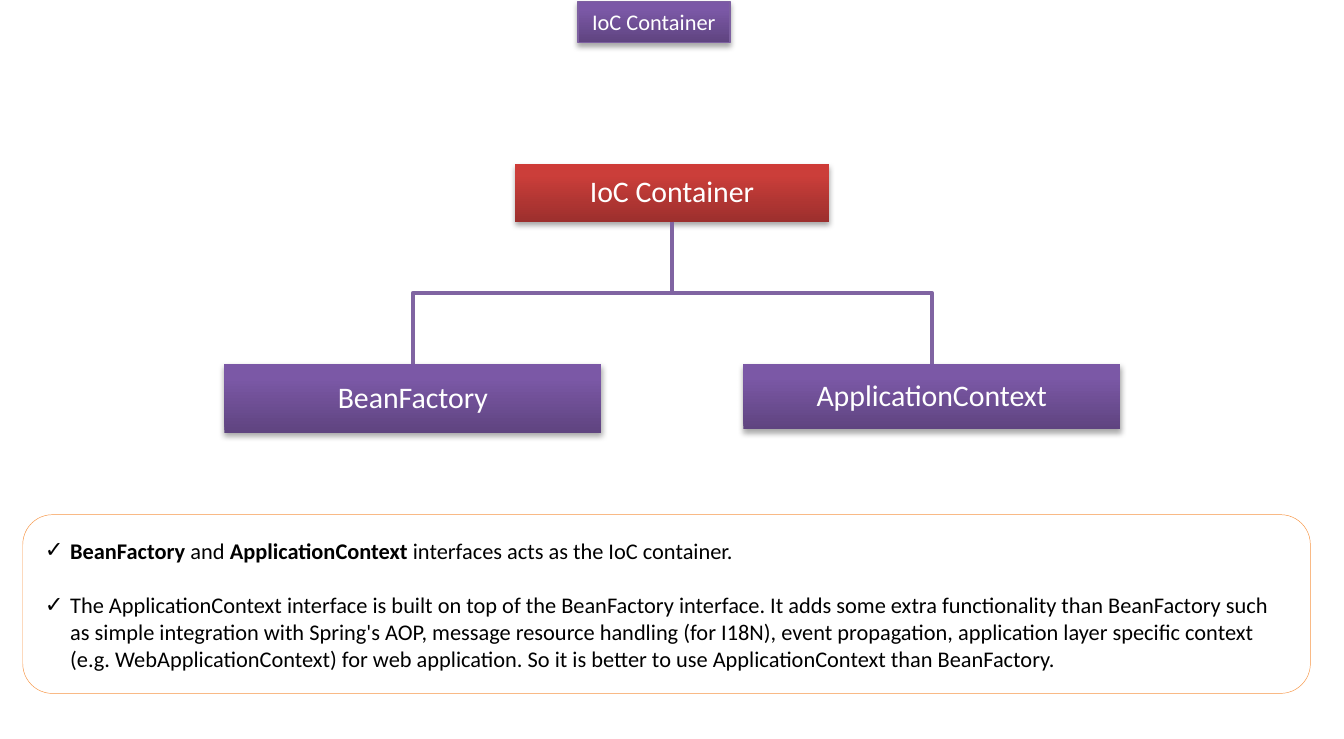
import copy

import pptx
import pptx.dml.color
import pptx.enum.shapes
import pptx.enum.text
import pptx.oxml
import pptx.oxml.ns
import pptx.util

Pt = pptx.util.Pt
ALIGN = pptx.enum.text.PP_ALIGN
ANCHOR = pptx.enum.text.MSO_ANCHOR
SIZING = pptx.enum.text.MSO_AUTO_SIZE
SHAPE = pptx.enum.shapes.MSO_SHAPE

PURPLE = ("5F4480", "7B58A6", "7C57A8")
RED = ("9C2F2D", "CB3E3A", "CE3B37")
STOPS = (0, 0.8, 1)


def color(value):
    return pptx.dml.color.RGBColor.from_string(value)


def element(xml):
    """Parse one drawing element written without its namespace declaration."""
    head, tail = xml.split(" ", 1)
    return pptx.oxml.parse_xml(f"{head} {pptx.oxml.ns.nsdecls('a')} {tail}")


class SlideWriter:
    font = "Calibri"
    connector = "8064A2"

    def __init__(self, page):
        self.page = page

    def place(self, box, left, top, width, height):
        box.left, box.top, box.width, box.height = map(Pt, (left, top, width, height))

    def style(self, paragraph, size, value):
        for span in paragraph.runs:
            span.font.name = self.font
            span.font.size = Pt(size)
            span.font.color.rgb = color(value)

    def shade(self, box, colors):
        """Vertical three-stop gradient, dark at the bottom, with a soft shadow."""
        box.fill.gradient()
        box.fill.gradient_angle = 90
        stop_list = box._element.spPr.find(".//" + pptx.oxml.ns.qn("a:gsLst"))
        stop_list.append(copy.deepcopy(stop_list[-1]))
        for stop, value, position in zip(box.fill.gradient_stops, colors, STOPS):
            stop.color.rgb = color(value)
            stop.position = position
        box.shadow.inherit = False
        effects = box._element.spPr.find(pptx.oxml.ns.qn("a:effectLst"))
        effects.append(element(
            f'<a:outerShdw blurRad="{Pt(3.1)}" dist="{Pt(1.8)}" dir="5400000" rotWithShape="0">'
            '<a:srgbClr val="000000"><a:alpha val="35000"/></a:srgbClr></a:outerShdw>'))

    def title(self, text, *area):
        box = self.page.shapes.title
        self.place(box, *area)
        box.line.color.rgb = color("7D60A0")
        box.line.width = Pt(0.75)
        self.shade(box, PURPLE)
        frame = box.text_frame
        frame.text = text
        frame.word_wrap = True
        frame.auto_size = SIZING.NONE
        frame.margin_left = frame.margin_right = Pt(2)
        frame.vertical_anchor = ANCHOR.TOP
        frame.paragraphs[0].alignment = ALIGN.CENTER
        self.style(frame.paragraphs[0], 12, "FFFFFF")

    def node(self, text, colors, *area):
        box = self.page.shapes.add_shape(SHAPE.RECTANGLE, *map(Pt, area))
        box.line.fill.background()
        self.shade(box, colors)
        frame = box.text_frame
        frame.text = text
        frame.word_wrap = True
        frame.vertical_anchor = ANCHOR.MIDDLE
        frame.margin_left = frame.margin_right = Pt(0.8)
        frame.margin_top = frame.margin_bottom = Pt(0.8)
        frame.paragraphs[0].alignment = ALIGN.CENTER
        frame.paragraphs[0].line_spacing = 0.9
        self.style(frame.paragraphs[0], 16, "FFFFFF")
        return box

    def branch(self, parent, child):
        """Elbow line from the parent's bottom to the child's top."""
        start_x = parent.left + parent.width // 2
        start_y = parent.top + parent.height
        end_x = child.left + child.width // 2
        middle = (start_y + child.top) // 2
        builder = self.page.shapes.build_freeform(start_x, start_y)
        builder.add_line_segments(
            [(start_x, middle), (end_x, middle), (end_x, child.top)], close=False)
        line = builder.convert_to_shape()
        line.fill.background()
        line.line.color.rgb = color(self.connector)
        line.line.width = Pt(2)
        line.shadow.inherit = False

    def panel(self, *area):
        box = self.page.shapes.add_shape(SHAPE.ROUNDED_RECTANGLE, *map(Pt, area))
        box.fill.solid()
        box.fill.fore_color.rgb = color("FFFFFF")
        box.line.color.rgb = color("F79646")
        box.line.width = Pt(0.25)
        box.shadow.inherit = False
        return box

    def checklist(self, panel, items, *area):
        """Fill the body placeholder and bring it in front of its panel."""
        box = self.page.placeholders[1]
        self.place(box, *area)
        panel._element.addnext(box._element)
        frame = box.text_frame
        frame.word_wrap = True
        frame.auto_size = SIZING.NONE
        frame.vertical_anchor = ANCHOR.MIDDLE
        for index, spans in enumerate(items):
            paragraph = frame.add_paragraph() if index else frame.paragraphs[0]
            properties = paragraph._p.get_or_add_pPr()
            properties.set("marL", str(Pt(13.5)))
            properties.set("indent", str(-Pt(13.5)))
            properties.append(element('<a:buChar char="✓"/>'))
            paragraph.space_before = Pt(14.65 if index else 0)
            for text, bold in spans:
                span = paragraph.add_run()
                span.text = text
                span.font.bold = bold
            self.style(paragraph, 12, "000000")


def main():
    deck = pptx.Presentation()
    deck.slide_width, deck.slide_height = Pt(720), Pt(396)
    writer = SlideWriter(deck.slides.add_slide(deck.slide_layouts[1]))

    # Heading
    writer.title("IoC Container", 309.6, 0.7, 81.4, 22)

    # Container hierarchy
    root = writer.node("IoC Container", RED, 275.8, 87.8, 168.4, 31)
    children = [
        writer.node("BeanFactory", PURPLE, 120.2, 195, 202, 37),
        writer.node("ApplicationContext", PURPLE, 398.2, 195, 202, 35),
    ]
    for child in children:
        writer.branch(root, child)

    # Explanation
    panel = writer.panel(12.2, 275.8, 689.8, 95.8)
    writer.checklist(panel, [
        [("BeanFactory", True), (" and ", False), ("ApplicationContext", True),
         (" interfaces acts as the IoC container.", False)],
        [("The ApplicationContext interface is built on top of the BeanFactory interface. "
          "It adds some extra functionality than BeanFactory such as simple integration "
          "with Spring's AOP, message resource handling (for I18N), event propagation, "
          "application layer specific context (e.g. WebApplicationContext) for web "
          "application. So it is better to use ApplicationContext than BeanFactory.", False)],
    ], 16.9, 280.4, 680.4, 86.6)

    deck.save("out.pptx")


if __name__ == "__main__":
    main()
